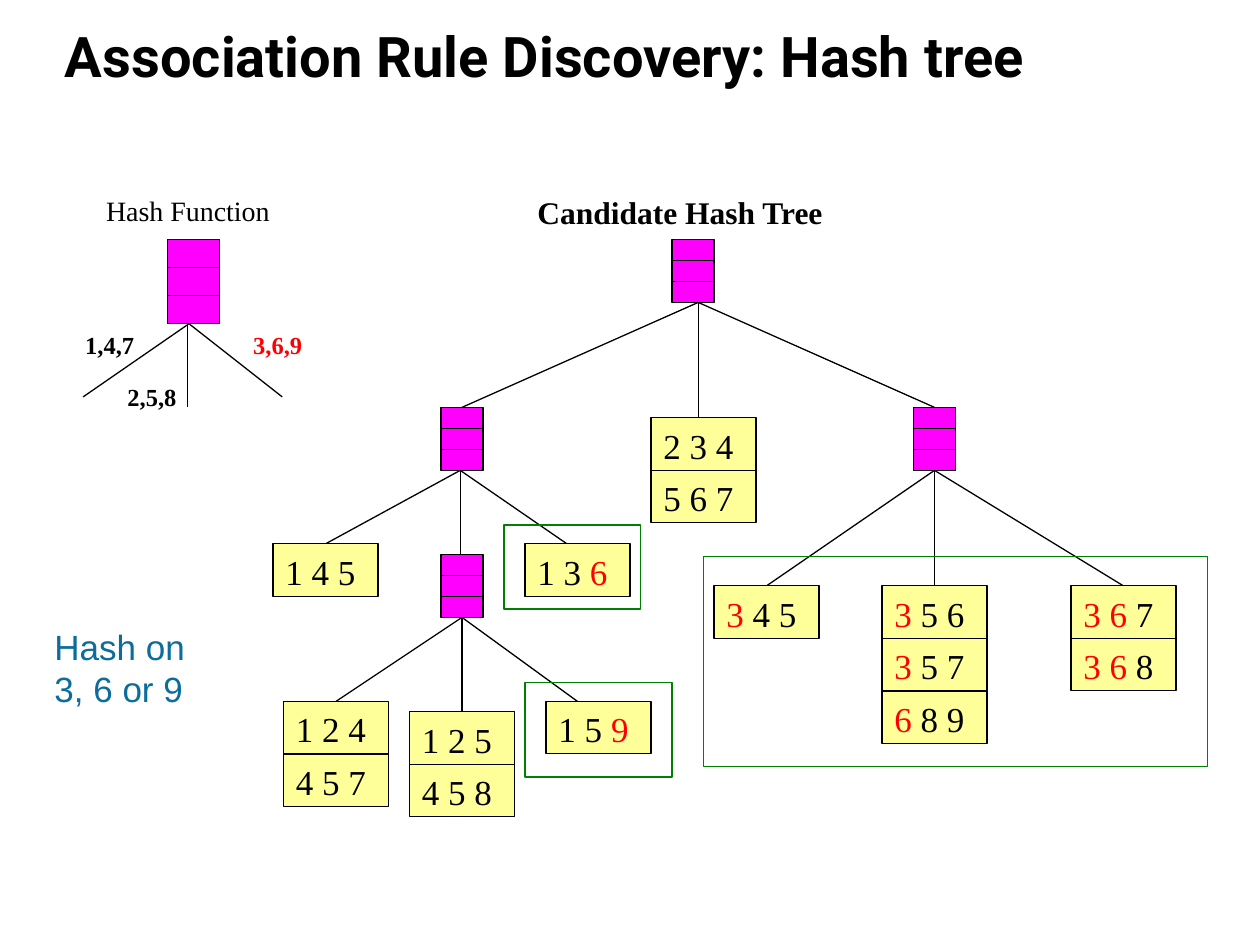
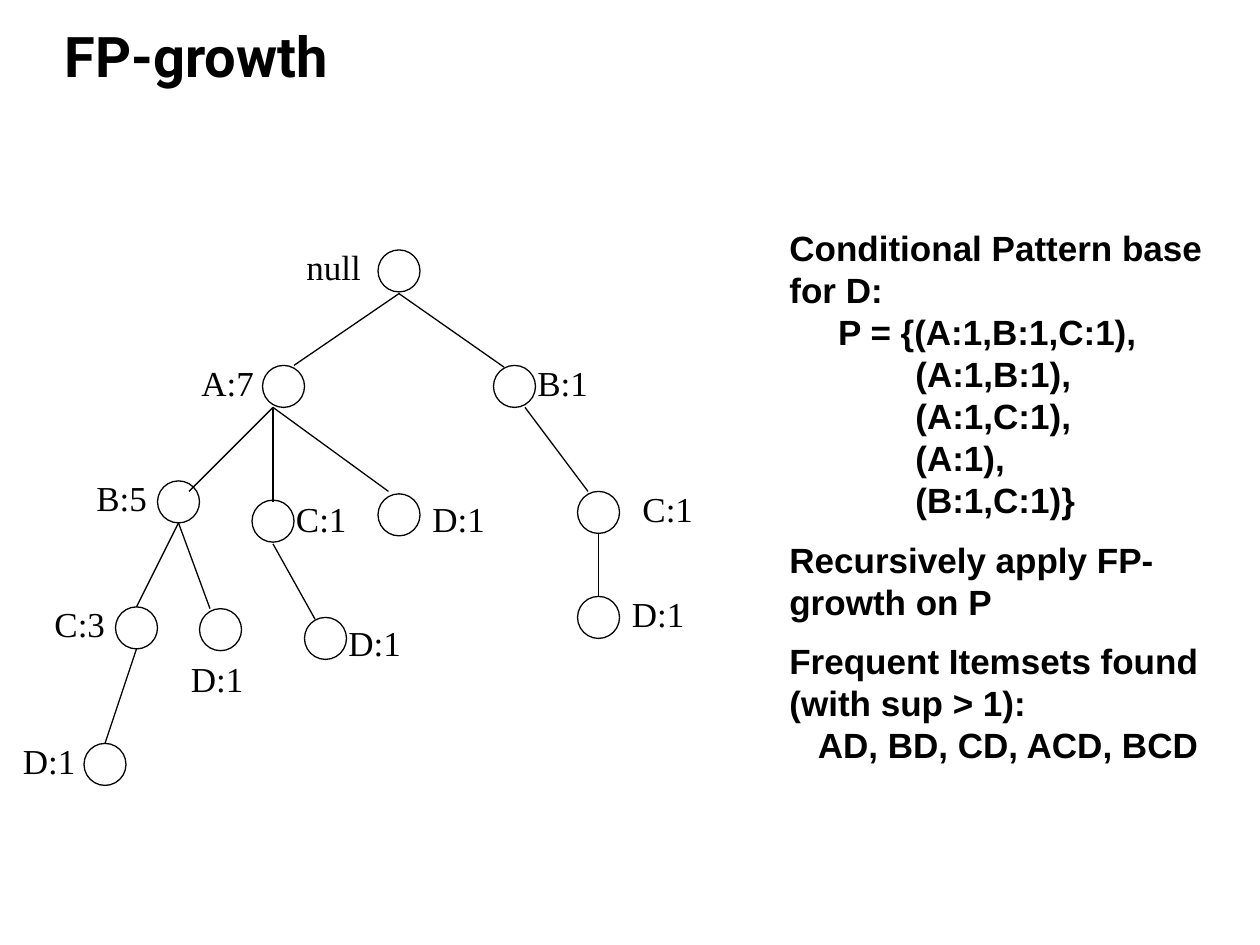
"""Build two slides on hash trees and FP-growth."""
from collections import namedtuple
from dataclasses import dataclass

from lxml import etree
from pptx import Presentation
from pptx.dml.color import RGBColor
from pptx.enum.shapes import MSO_CONNECTOR, MSO_SHAPE
from pptx.enum.text import MSO_ANCHOR, PP_ALIGN
from pptx.oxml.ns import qn
from pptx.util import Pt

RECTANGLE, OVAL = MSO_SHAPE.RECTANGLE, MSO_SHAPE.OVAL
STRAIGHT = MSO_CONNECTOR.STRAIGHT
TOP, BOTTOM = MSO_ANCHOR.TOP, MSO_ANCHOR.BOTTOM
LEFT = PP_ALIGN.LEFT

Box = namedtuple("Box", "left top width height")
Node = namedtuple("Node", "left top label label_left label_top")


@dataclass(frozen=True)
class Theme:
    """Colours, fonts and sizes shared by the slides."""

    ink: str = "000000"
    hit: str = "FF0000"
    bucket: str = "FF00FF"
    leaf: str = "FFFF99"
    frame: str = "008000"
    note: str = "0C6D9C"
    title_font: str = "Roboto"
    body_font: str = "Arial"
    tree_font: str = "Times New Roman"
    title_size: int = 32
    text_size: int = 20
    heading_size: int = 18
    caption_size: int = 16
    key_size: int = 14
    line_width: float = 0.75
    frame_width: float = 1


THEME = Theme()
TITLE_BOX = Box(30, 12, 652, 42)
BUCKET_WIDTH, BUCKET_HEIGHT = 24, 36
LEAF_WIDTH, LEAF_HEIGHT = 60, 30
CIRCLE = 24
LABEL_WIDTH, LABEL_HEIGHT = 48, 31
KEY_WIDTH, KEY_HEIGHT = 46, 24

BRANCHES = [
    ((243, 36), [(108, 96), (243, 102), (378, 96)]),
    ((107, 132), [(30, 174), (107, 180), (168, 174)]),
    ((378, 132), [(282, 198), (378, 198), (486, 198)]),
    ((108, 216), [(36, 264), (108, 270), (174, 264)]),
]
BUCKETS = [(228, 0), (96, 96), (366, 96), (96, 180)]
LEAVES = [
    (0, 174, ["1 4 5"]),
    (144, 174, ["1 3 |6|"]),
    (216, 102, ["2 3 4", "5 6 7"]),
    (252, 198, ["|3| 4 5"]),
    (348, 198, ["|3| 5 6", "|3| 5 7", "|6| 8 9"]),
    (456, 198, ["|3 6| 7", "|3 6| 8"]),
    (6, 264, ["1 2 4", "4 5 7"]),
    (78, 270, ["1 2 5", "4 5 8"]),
    (156, 264, ["1 5 |9|"]),
]
MATCH_FRAMES = [Box(300, 390, 84, 54), Box(402, 318, 288, 120), Box(288, 300, 78, 48)]

PATTERN_NODES = [
    Node(210, 6, "null", -48, -6),
    Node(144, 72, "A:7", -42, -6),
    Node(276, 72, "B:1", 18, -6),
    Node(84, 138, "B:5", -42, -6),
    Node(138, 149, "C:1", 18, -5),
    Node(210, 145.4, "D:1", 24, -1.4),
    Node(324, 144, "C:1", 30, -6),
    Node(324, 204, "D:1", 24, -6),
    Node(60, 210, "C:3", -42, -6),
    Node(108, 211, "D:1", -12, 24.4),
    Node(168, 216, "D:1", 18, -1.4),
    Node(42, 288, "D:1", -42, -6),
]
PATTERN_BRANCHES = [
    ((222, 31), [(162, 72), (282, 73)]),
    ((150, 96), [(102, 144), (150, 150), (216, 144)]),
    ((294, 96), [(330, 144)]),
    ((336, 168), [(336, 204)]),
    ((96, 162), [(72, 210), (114, 211)]),
    ((72, 234), [(54, 288)]),
    ((150, 174), [(174, 217)]),
]
FINDINGS = [
    ("Conditional Pattern base for D:", 0, 0),
    ("P = {(A:1,B:1,C:1),", 27.8, 0),
    ("(A:1,B:1),", 72, 0),
    ("(A:1,C:1),", 72, 0),
    ("(A:1),", 72, 0),
    ("(B:1,C:1)}", 72, 0),
    ("Recursively apply FP-growth on P", 0, 10),
    ("Frequent Itemsets found (with sup > 1):", 0, 10),
    ("AD, BD, CD, ACD, BCD", 16.2, 0),
]


def write(paragraph, text, font=THEME.tree_font, size=THEME.text_size,
          color=THEME.ink, bold=False, indent=0, before=0, spacing=None):
    """Fill a paragraph, colouring parts between bars as hits."""
    paragraph.alignment = LEFT
    if indent:
        paragraph._p.get_or_add_pPr().set("marL", str(Pt(indent)))
    if before:
        paragraph.space_before = Pt(before)
    if spacing:
        paragraph.line_spacing = spacing
    for index, part in enumerate(text.split("|")):
        if part:
            run = paragraph.add_run()
            run.text = part
            run.font.name, run.font.size, run.font.bold = font, Pt(size), bold
            run.font.color.rgb = RGBColor.from_string(THEME.hit if index % 2 else color)


def add_text(slide, box, text, wrap=False, anchor=TOP, **text_format):
    """Add a text box holding one paragraph."""
    shape = slide.shapes.add_textbox(*map(Pt, box))
    frame = shape.text_frame
    frame.word_wrap = wrap
    frame.vertical_anchor = anchor
    write(frame.paragraphs[0], text, **text_format)
    return frame


def add_outline(slide, kind, box, fill=None, color=THEME.ink, width=THEME.line_width):
    """Add an outlined shape, filled when a colour is given."""
    shape = slide.shapes.add_shape(kind, *map(Pt, box))
    shape.shadow.inherit = False
    if fill:
        shape.fill.solid()
        shape.fill.fore_color.rgb = RGBColor.from_string(fill)
    else:
        shape.fill.background()
    shape.line.color.rgb = RGBColor.from_string(color)
    shape.line.width = Pt(width)
    return shape


def add_line(slide, start, end):
    """Add a thin straight line between two points."""
    line = slide.shapes.add_connector(STRAIGHT, *map(Pt, (*start, *end)))
    line.line.color.rgb = RGBColor.from_string(THEME.ink)
    line.line.width = Pt(THEME.line_width)
    etree.SubElement(line._element.spPr, qn("a:effectLst"))


def add_branches(slide, box, branches):
    """Draw each fan of lines relative to the box."""
    for (start_x, start_y), ends in branches:
        for end_x, end_y in ends:
            add_line(slide, (box.left + start_x, box.top + start_y),
                     (box.left + end_x, box.top + end_y))


def add_bucket(slide, box):
    """Draw a hash bucket split into three equal cells."""
    add_outline(slide, RECTANGLE, box, THEME.bucket)
    for third in (1, 2):
        divider = box.top + box.height * third / 3
        add_line(slide, (box.left, divider), (box.left + box.width, divider))


def add_leaf(slide, box, itemset):
    """Draw one candidate itemset in its cell."""
    frame = add_outline(slide, RECTANGLE, box, THEME.leaf).text_frame
    frame.word_wrap = False
    frame.vertical_anchor = TOP
    write(frame.paragraphs[0], itemset)


def add_hash_function(slide, box):
    """Draw the hash function with its three keyed branches."""
    left, top = box.left, box.top
    add_text(slide, Box(left + 11.5, top + 0.3, 109, 27), "Hash Function",
             size=THEME.caption_size)
    add_bucket(slide, Box(left + 53.7, top + 30.3, 30, 48))
    add_branches(slide, box, [((66, 78.5), [(5.5, 120.3), (119.3, 120.3)]),
                              ((65.3, 78.5), [(65.3, 126)])])
    for key_left, key_top, keys in [(-0.4, 78.5, "1,4,7"), (23.7, 108, "2,5,8"),
                                    (95.6, 78.5, "|3,6,9|")]:
        add_text(slide, Box(left + key_left, top + key_top, KEY_WIDTH, KEY_HEIGHT), keys,
                 size=THEME.key_size, bold=True)


def add_hash_tree(slide, box):
    """Draw the candidate hash tree inside the box."""
    add_branches(slide, box, BRANCHES)
    for left, top in BUCKETS:
        add_bucket(slide, Box(box.left + left, box.top + top, BUCKET_WIDTH, BUCKET_HEIGHT))
    for left, top, itemsets in LEAVES:
        for row, itemset in enumerate(itemsets):
            add_leaf(slide, Box(box.left + left, box.top + top + row * LEAF_HEIGHT,
                                LEAF_WIDTH, LEAF_HEIGHT), itemset)
    add_text(slide, Box(box.left + 144, box.top - 30.3, 179, 29), "Candidate Hash Tree",
             size=THEME.heading_size, bold=True)


def add_pattern_tree(slide, box):
    """Draw the FP-tree nodes, labels and branches."""
    for node in PATTERN_NODES:
        left, top = box.left + node.left, box.top + node.top
        add_outline(slide, OVAL, Box(left, top, CIRCLE, CIRCLE))
        add_text(slide, Box(left + node.label_left, top + node.label_top,
                            LABEL_WIDTH, LABEL_HEIGHT), node.label)
    add_branches(slide, box, PATTERN_BRANCHES)


def add_findings(slide, box):
    """Write the pattern base and the itemsets found."""
    style = {"font": THEME.body_font, "bold": True}
    frame = add_text(slide, box, FINDINGS[0][0], wrap=True, **style)
    for text, indent, before in FINDINGS[1:]:
        write(frame.add_paragraph(), text, indent=indent, before=before, **style)


def add_titled_slide(presentation, title):
    """Add a blank slide with the shared title style."""
    slide = presentation.slides.add_slide(presentation.slide_layouts[6])
    add_text(slide, TITLE_BOX, title, wrap=True, anchor=BOTTOM, font=THEME.title_font,
             size=THEME.title_size, bold=True, spacing=1.12)
    return slide


def build_hash_slide(presentation):
    """Build the hash tree slide."""
    slide = add_titled_slide(presentation, "Association Rule Discovery: Hash tree")
    add_hash_tree(slide, Box(156, 136.8, 516, 330))
    add_hash_function(slide, Box(42, 106.5, 138, 132))
    for box in MATCH_FRAMES:
        add_outline(slide, RECTANGLE, box, color=THEME.frame, width=THEME.frame_width)
    add_text(slide, Box(24, 354, 90, 55), "Hash on 3, 6 or 9", wrap=True,
             font=THEME.body_font, color=THEME.note)


def build_growth_slide(presentation):
    """Build the FP-growth slide."""
    slide = add_titled_slide(presentation, "FP-growth")
    add_pattern_tree(slide, Box(6, 136.8, 402, 313))
    add_findings(slide, Box(444, 126, 264, 319))


def main():
    """Build and save the presentation."""
    presentation = Presentation()
    presentation.slide_width, presentation.slide_height = Pt(720), Pt(540)
    build_hash_slide(presentation)
    build_growth_slide(presentation)
    presentation.save("out.pptx")


if __name__ == "__main__":
    main()
